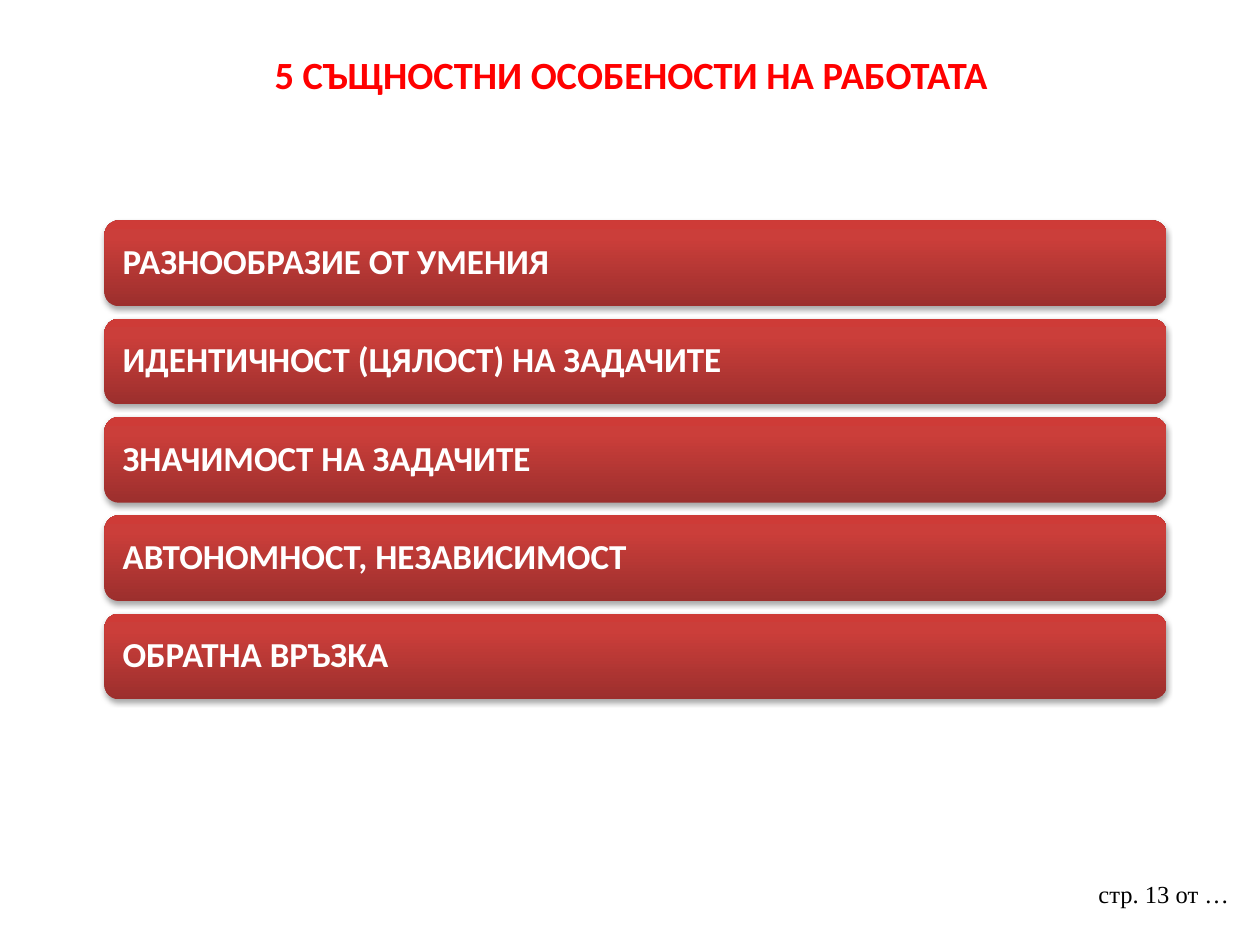
import pptx
import pptx.dml.color
import pptx.enum.shapes
import pptx.enum.text
import pptx.oxml
import pptx.util
from pptx.util import Inches

COLORS = {
    "title": "FF0000",
    "footer": "000000",
    "label": "FFFFFF",
    "bar_bottom": "9C2F2D",
    "bar_middle": "CB3E3A",
    "bar_top": "CE3B37",
    "shadow": "000000",
}
NAMESPACE = 'xmlns:a="http://schemas.openxmlformats.org/drawingml/2006/main"'
GRADIENT = f"""<a:gradFill {NAMESPACE} rotWithShape="1"><a:gsLst>
<a:gs pos="0"><a:srgbClr val="{COLORS['bar_bottom']}"/></a:gs>
<a:gs pos="80000"><a:srgbClr val="{COLORS['bar_middle']}"/></a:gs>
<a:gs pos="100000"><a:srgbClr val="{COLORS['bar_top']}"/></a:gs>
</a:gsLst><a:lin ang="16200000" scaled="0"/></a:gradFill>"""
SHADOW = f"""<a:effectLst {NAMESPACE}>
<a:outerShdw blurRad="{pptx.util.Pt(3.1)}" dist="{pptx.util.Pt(1.8)}" dir="5400000" rotWithShape="0">
<a:srgbClr val="{COLORS['shadow']}"><a:alpha val="35000"/></a:srgbClr>
</a:outerShdw></a:effectLst>"""


def write_text(shape, text, size, color, font="Calibri", bold=True, align="LEFT",
               anchor="TOP", line_spacing=1.0, inset=0.1):
    frame = shape.text_frame
    frame.word_wrap = True
    frame.vertical_anchor = pptx.enum.text.MSO_ANCHOR[anchor]
    frame.margin_left = frame.margin_right = Inches(inset)
    paragraph = frame.paragraphs[0]
    paragraph.text = text
    paragraph.alignment = pptx.enum.text.PP_ALIGN[align]
    paragraph.line_spacing = line_spacing
    paragraph.font.name = font
    paragraph.font.size = pptx.util.Pt(size)
    paragraph.font.bold = bold
    paragraph.font.color.rgb = pptx.dml.color.RGBColor.from_string(COLORS[color])


presentation = pptx.Presentation()
presentation.slide_width = Inches(10)
presentation.slide_height = Inches(7.5)
slide = presentation.slides.add_slide(presentation.slide_layouts[6])

footer = slide.shapes.add_textbox(Inches(8.62), Inches(6.93), Inches(1.3), Inches(0.52))
write_text(footer, "стр. 13 от …", size=14, color="footer", font="Times New Roman", bold=False)

title = slide.shapes.add_textbox(Inches(0.51), Inches(0.36), Inches(9), Inches(0.93))
write_text(title, "5 СЪЩНОСТНИ ОСОБЕНОСТИ НА РАБОТАТА", size=22, color="title", align="CENTER")

features = [
    "РАЗНООБРАЗИЕ ОТ УМЕНИЯ",
    "ИДЕНТИЧНОСТ (ЦЯЛОСТ) НА ЗАДАЧИТЕ",
    "ЗНАЧИМОСТ НА ЗАДАЧИТЕ",
    "АВТОНОМНОСТ, НЕЗАВИСИМОСТ",
    "ОБРАТНА ВРЪЗКА",
]
for index, feature in enumerate(features):
    bar = slide.shapes.add_shape(
        pptx.enum.shapes.MSO_SHAPE.ROUNDED_RECTANGLE,
        Inches(0.83), Inches(1.75 + 0.78 * index), Inches(8.43), Inches(0.68))
    bar.line.fill.background()
    properties = bar.element.spPr
    properties.insert(2, pptx.oxml.parse_xml(GRADIENT))
    properties.append(pptx.oxml.parse_xml(SHADOW))
    write_text(bar, feature, size=20, color="label", anchor="MIDDLE", line_spacing=0.9, inset=0.11)

presentation.save("out.pptx")
